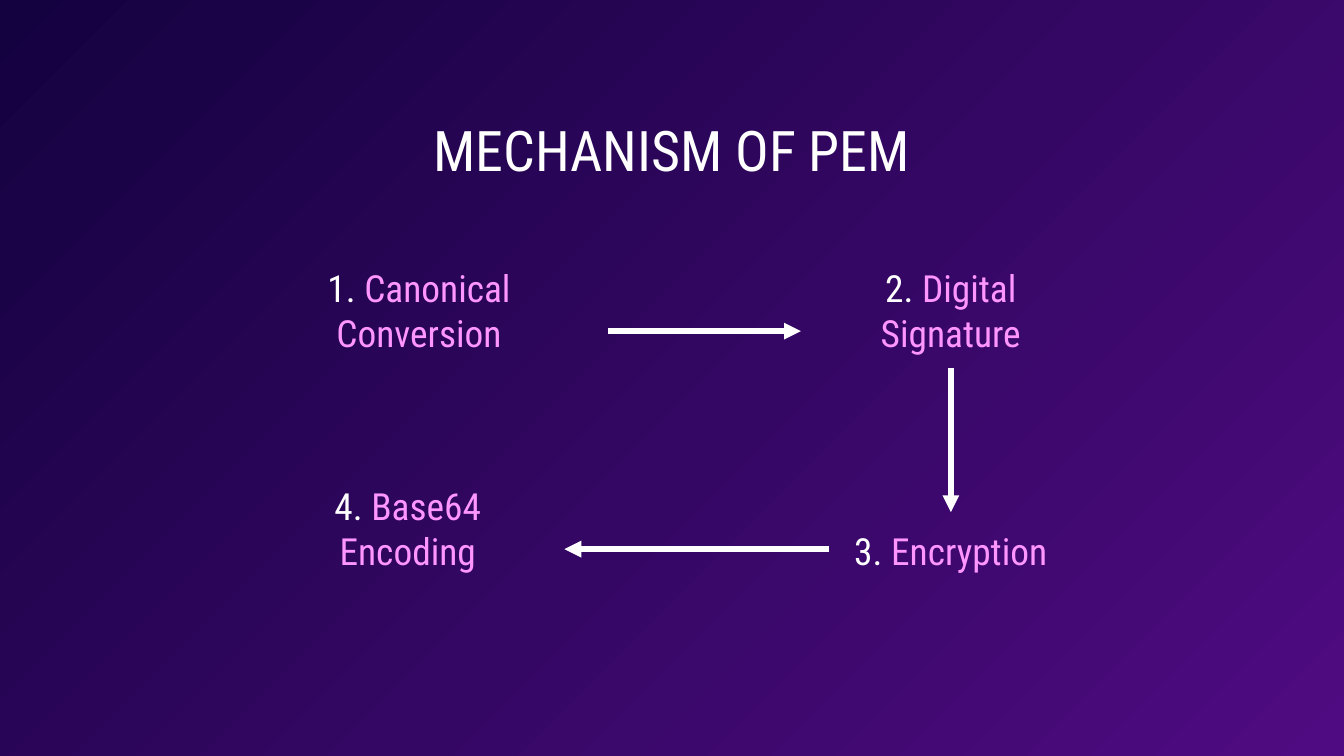
from dataclasses import dataclass

from lxml import etree
from pptx import Presentation
from pptx.dml.color import RGBColor
from pptx.enum.shapes import MSO_CONNECTOR
from pptx.enum.text import MSO_ANCHOR, MSO_AUTO_SIZE, PP_ALIGN
from pptx.oxml.ns import qn
from pptx.shapes.base import BaseShape
from pptx.slide import Slide
from pptx.text.text import TextFrame, _Paragraph
from pptx.util import Pt

STRAIGHT = MSO_CONNECTOR.STRAIGHT
TOP, BOTTOM = MSO_ANCHOR.TOP, MSO_ANCHOR.BOTTOM
CENTER = PP_ALIGN.CENTER
NO_AUTOFIT = MSO_AUTO_SIZE.NONE
SITE_TOP, SITE_LEFT, SITE_BOTTOM, SITE_RIGHT = range(4)


@dataclass(frozen=True)
class Theme:
    font: str = "Roboto Condensed"
    title_size: float = 30
    step_size: float = 20
    line_width: float = 3
    white: RGBColor = RGBColor(0xFF, 0xFF, 0xFF)
    pink: RGBColor = RGBColor(0xFF, 0x96, 0xFF)
    gradient: tuple[RGBColor, RGBColor] = (
        RGBColor(0x14, 0x02, 0x40),
        RGBColor(0x4F, 0x0B, 0x81),
    )


@dataclass(frozen=True)
class Step:
    label: str
    left: float
    top: float
    width: float


@dataclass(frozen=True)
class Arrow:
    """Link between two steps, by index, with the side used on each."""
    start: int
    start_site: int
    end: int
    end_site: int


THEME = Theme()
STEP_HEIGHT = 39.6
UPPER_ROW, LOWER_ROW = 157.6, 274.4
STEPS = (
    Step("Canonical Conversion", 123.2, UPPER_ROW, 202.6),
    Step("Digital Signature", 429.1, UPPER_ROW, 160.6),
    Step("Encryption", 444.2, LOWER_ROW, 130.4),
    Step("Base64 Encoding", 134.6, LOWER_ROW, 167.8),
)
ARROWS = (
    Arrow(0, SITE_RIGHT, 1, SITE_LEFT),
    Arrow(1, SITE_BOTTOM, 2, SITE_TOP),
    Arrow(2, SITE_LEFT, 3, SITE_RIGHT),
)


def paint_background(page: Slide) -> None:
    fill = page.background.fill
    fill.gradient()
    fill.gradient_angle = 315
    for position, (stop, color) in enumerate(zip(fill.gradient_stops, THEME.gradient)):
        stop.position = position
        stop.color.rgb = color


def format_frame(frame: TextFrame, anchor: MSO_ANCHOR, side_margin: float) -> None:
    frame.word_wrap = True
    frame.auto_size = NO_AUTOFIT
    frame.vertical_anchor = anchor
    frame.margin_left = frame.margin_right = Pt(side_margin)
    frame.margin_top = frame.margin_bottom = Pt(7.2)


def format_paragraph(para: _Paragraph, size: float) -> None:
    para.alignment = CENTER
    para.font.name = THEME.font
    para.font.size = Pt(size)


def add_title(page: Slide, text: str) -> None:
    title = page.shapes.title
    title.left, title.top = Pt(57.6), Pt(54.7)
    title.width, title.height = Pt(604.8), Pt(49.7)
    format_frame(title.text_frame, TOP, 7.2)
    para = title.text_frame.paragraphs[0]
    para.text = text
    format_paragraph(para, THEME.title_size)
    para.font.color.rgb = THEME.white


def add_step(page: Slide, number: int, step: Step) -> BaseShape:
    box = page.shapes.add_textbox(
        Pt(step.left), Pt(step.top), Pt(step.width), Pt(STEP_HEIGHT)
    )
    format_frame(box.text_frame, BOTTOM, 10)
    para = box.text_frame.paragraphs[0]
    format_paragraph(para, THEME.step_size)
    for text, color in ((f"{number}. ", THEME.white), (step.label, THEME.pink)):
        span = para.add_run()
        span.text = text
        span.font.color.rgb = color
    return box


def add_arrow(page: Slide, boxes: list[BaseShape], arrow: Arrow) -> None:
    connector = page.shapes.add_connector(STRAIGHT, Pt(0), Pt(0), Pt(0), Pt(0))
    connector.begin_connect(boxes[arrow.start], arrow.start_site)
    connector.end_connect(boxes[arrow.end], arrow.end_site)
    connector.line.color.rgb = THEME.white
    connector.line.width = Pt(THEME.line_width)
    properties = connector.line._get_or_add_ln()
    etree.SubElement(properties, qn("a:tailEnd"), type="triangle")
    etree.SubElement(connector._element.spPr, qn("a:effectLst"))


def main() -> None:
    deck = Presentation()
    deck.slide_width, deck.slide_height = Pt(720), Pt(405)
    page = deck.slides.add_slide(deck.slide_layouts.get_by_name("Title Only"))
    paint_background(page)
    add_title(page, "MECHANISM OF PEM")
    boxes = [add_step(page, number, step) for number, step in enumerate(STEPS, 1)]
    for arrow in ARROWS:
        add_arrow(page, boxes, arrow)
    deck.save("out.pptx")


if __name__ == "__main__":
    main()
